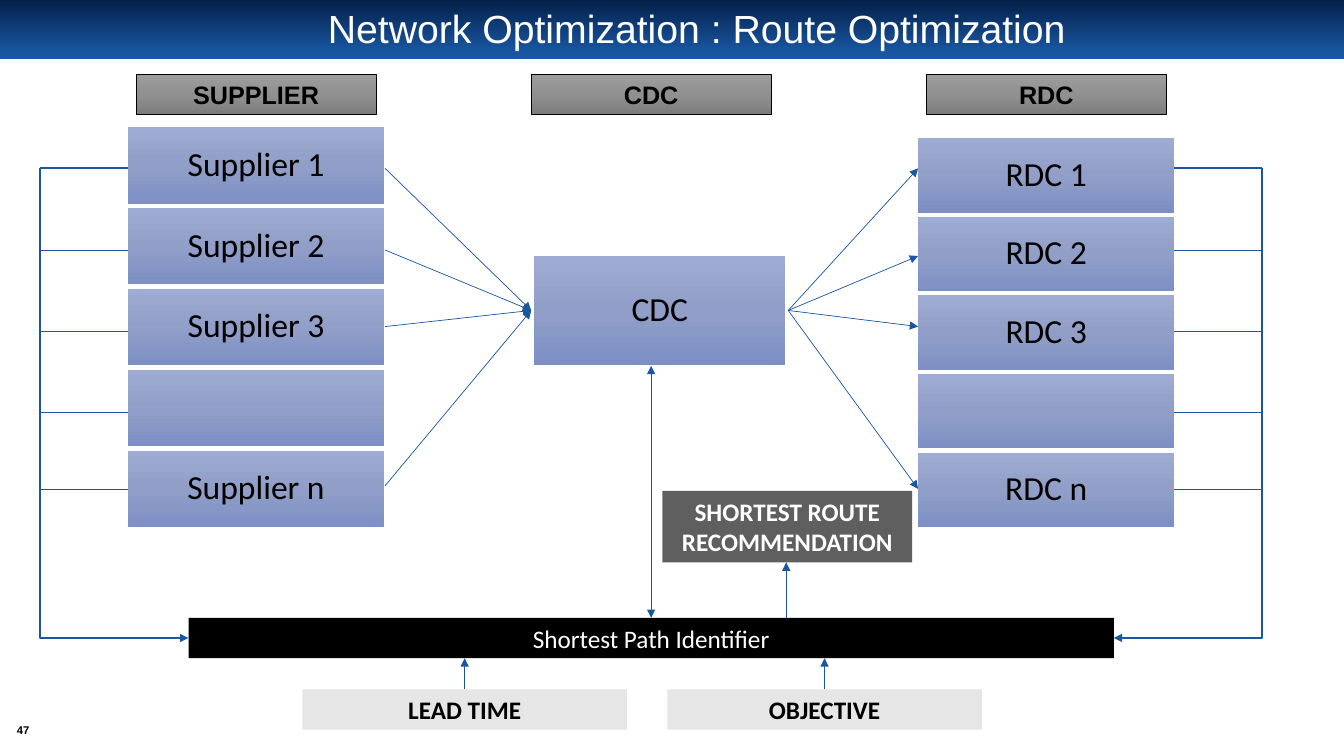
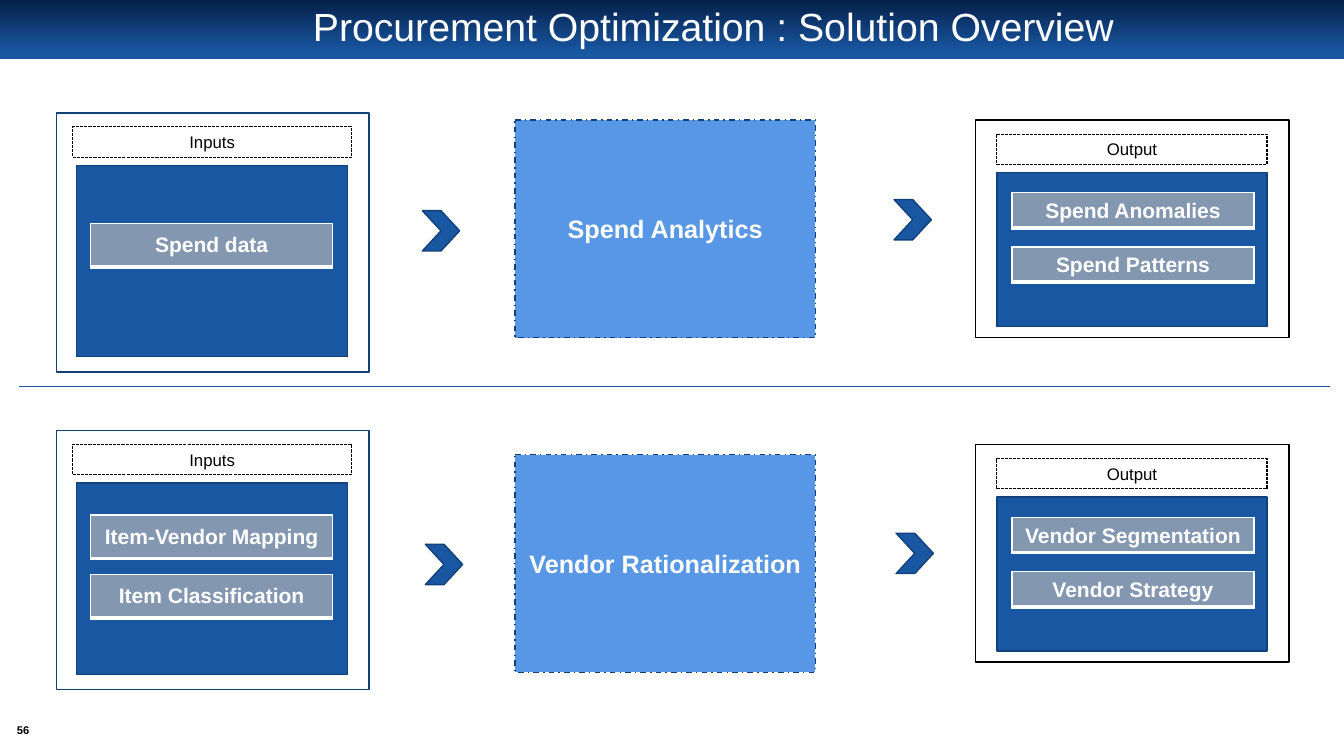
from copy import deepcopy

from pptx import Presentation
from pptx.dml.color import RGBColor
from pptx.enum.dml import MSO_LINE
from pptx.enum.shapes import MSO_CONNECTOR, MSO_SHAPE
from pptx.enum.text import MSO_ANCHOR, PP_ALIGN
from pptx.oxml.ns import qn
from pptx.oxml.xmlchemy import OxmlElement
from pptx.util import Emu, Pt

RECT, PROCESS, CHEVRON = MSO_SHAPE.RECTANGLE, MSO_SHAPE.FLOWCHART_PROCESS, MSO_SHAPE.CHEVRON
STRAIGHT, ELBOW = MSO_CONNECTOR.STRAIGHT, MSO_CONNECTOR.ELBOW
SYS_DASH, DASH_DOT = MSO_LINE.SQUARE_DOT, MSO_LINE.DASH_DOT
MIDDLE, BOTTOM, CENTER = MSO_ANCHOR.MIDDLE, MSO_ANCHOR.BOTTOM, PP_ALIGN.CENTER

COLORS = {
    "white": "FFFFFF", "black": "000000", "navy": "052049", "blue": "1957A3",
    "outline": "124079", "sky": "5797E5", "slate": "8497B0", "charcoal": "5F5F5F",
    "light": "E7E6E6",
}
RGB = {name: RGBColor.from_string(code) for name, code in COLORS.items()}
# Gradients run from top to bottom as (position, hex colour)
BAND = ((0, COLORS["navy"]), (0.9, COLORS["blue"]))
NODE = ((0, "9EABD2"), (0.5, "919FC8"), (1, "7D8FC4"))
HEADER = ((0, "9D9D9D"), (0.5, "909090"), (1, "7C7C7C"))

# Text styles: font, size, bold, colour, line spacing
TITLE = ("Arial", 28, False, "white", 0.9)
NUMBER = ("Arial", 8, True, "black", 1)
HEADER_TEXT = ("Arial", 18, True, "black", 1)
NODE_TEXT = ("Calibri", 24, False, "black", 0.9)
BAR_TEXT = ("Calibri", 18, False, "white", 1)
RESULT_TEXT = ("Calibri", 18, True, "white", 1)
FACTOR_TEXT = ("Calibri", 18, True, "black", 1)
ENGINE_TEXT = ("Arial", 18, True, "white", 1)
CAPTION_TEXT = ("Arial", 12, False, "black", 1)
ITEM_TEXT = ("Arial", 15, True, "white", 1)

prs = Presentation()
prs.slide_width, prs.slide_height = Emu(12192000), Emu(6858000)
UNIT = prs.slide_width / 160  # grid of 160 columns by 90 rows


def box(slide, preset, cell, fill=None, line=None, text="", style=None):
    """Place a shape (a text box if preset is None) on the grid.

    cell is column, row, columns, rows; line is colour, points, dash.
    """
    place = [round(n * UNIT) for n in cell]
    if preset is None:
        shape = slide.shapes.add_textbox(*place)
    else:
        shape = slide.shapes.add_shape(preset, *place)
        shape.shadow.inherit = False
        if fill is None:
            shape.fill.background()
        elif isinstance(fill, str):
            shape.fill.solid()
            shape.fill.fore_color.rgb = RGB[fill]
        else:
            shape.fill.gradient()
            shape.fill.gradient_angle = 270
            stop_list = shape._element.spPr.find(".//" + qn("a:gsLst"))
            for _ in fill[2:]:
                stop_list.append(deepcopy(stop_list[0]))
            for stop, (position, code) in zip(shape.fill.gradient_stops, fill):
                stop.position = position
                stop.color.rgb = RGBColor.from_string(code)
        if line is None:
            shape.line.fill.background()
        else:
            color, points, dash = line
            shape.line.color.rgb = RGB[color]
            shape.line.width = Pt(points)
            if dash is not None:
                shape.line.dash_style = dash
    if text:
        name, size, bold, color, spacing = style
        shape.text_frame.word_wrap = True
        shape.text_frame.vertical_anchor = MIDDLE
        paragraph = shape.text_frame.paragraphs[0]
        paragraph.text = text
        paragraph.alignment = CENTER
        paragraph.line_spacing = spacing
        font = paragraph.font
        font.name, font.size, font.bold, font.color.rgb = name, Pt(size), bold, RGB[color]


def link(slide, start, end, points=0.5, arrows=(), kind=STRAIGHT):
    """Draw a connector; arrows may hold headEnd (at start) and tailEnd (at end)."""
    ends = [round(n * UNIT) for n in (*start, *end)]
    connector = slide.shapes.add_connector(kind, *ends)
    connector.line.color.rgb = RGB["blue"]
    connector.line.width = Pt(points)
    properties = connector._element.spPr
    if kind == ELBOW:
        properties.find(qn("a:prstGeom")).set("prst", "bentConnector2")
    for arrow in arrows:
        tip = OxmlElement("a:" + arrow)
        tip.set("type", "triangle")
        properties.find(qn("a:ln")).append(tip)
    properties.append(OxmlElement("a:effectLst"))


# Band, title and page number of every slide
slides = []
for title, title_cell, number in (
    ("Network Optimization : Route Optimization", (13.44, 1.08, 139, 5.16), "47"),
    ("Procurement Optimization : Solution Overview", (22.56, 1.08, 124.7, 4.68), "56"),
):
    slide = prs.slides.add_slide(prs.slide_layouts[6])
    box(slide, RECT, (0, 0, 160, 7), BAND)
    box(slide, None, (0, 85.7, 5.5, 2.3), text=number, style=NUMBER)
    box(slide, None, title_cell, text=title, style=TITLE)
    slides.append(slide)
network, procurement = slides

# Network: headers and nodes
for i, header in enumerate(("SUPPLIER", "CDC", "RDC")):
    box(network, RECT, (16.2 + 47.04 * i, 8.88, 28.56, 4.8), HEADER,
        ("black", 0.5, None), header, HEADER_TEXT)

for prefix, left, top, pitch, height in (
    ("Supplier", 15.24, 15.12, 9.63, 9.12),
    ("RDC", 109.32, 16.44, 9.36, 8.88),
):
    for row, suffix in enumerate(("1", "2", "3", "", "n")):
        label = f"{prefix} {suffix}" if suffix else ""
        box(network, RECT, (left, top + pitch * row, 30.48, height), NODE,
            text=label, style=NODE_TEXT)

box(network, RECT, (63.6, 30.48, 29.88, 13), NODE, text="CDC", style=NODE_TEXT)

# Network: path identifier with its factors and result
BAR_LEFT, BAR_TOP, BAR_WIDTH, BAR_HEIGHT = 22.44, 73.56, 110.16, 4.8
BAR_BOTTOM = BAR_TOP + BAR_HEIGHT
box(network, RECT, (BAR_LEFT, BAR_TOP, BAR_WIDTH, BAR_HEIGHT), "black",
    text="Shortest Path Identifier", style=BAR_TEXT)
for factor, left, width in (("LEAD TIME", 36, 38.64), ("OBJECTIVE", 79.44, 37.44)):
    box(network, RECT, (left, 82.08, width, 4.8), "light", text=factor, style=FACTOR_TEXT)
    middle = left + width / 2
    link(network, (middle, 82.08), (middle, BAR_BOTTOM), arrows=["tailEnd"])
box(network, RECT, (78.84, 58.44, 29.76, 8.52), "charcoal",
    text="SHORTEST ROUTE RECOMMENDATION", style=RESULT_TEXT)
link(network, (93.6, BAR_TOP), (93.6, 66.96), arrows=["tailEnd"])
link(network, (77.52, 43.56), (77.52, BAR_TOP), arrows=["headEnd", "tailEnd"])

# Network: rails from the outer nodes down to the path identifier
STUB_ROWS = (20.04, 29.76, 39.48, 49.08, 58.2)
for rail, node_edge, bar_edge in (
    (4.8, 15.24, BAR_LEFT), (150.24, 139.8, BAR_LEFT + BAR_WIDTH),
):
    link(network, (bar_edge, BAR_TOP + BAR_HEIGHT / 2), (rail, STUB_ROWS[0]),
         1.5, ["headEnd"], ELBOW)
    for row in STUB_ROWS:
        link(network, (rail, row), (node_edge, row), 1.5 if row == STUB_ROWS[0] else 0.5)

# Network: routes into and out of the CDC
for row in (20.04, 29.76, 38.88, 57.84):
    link(network, (45.84, row), (63.24, 36.96), arrows=["tailEnd"])
for row in (20.04, 30.48, 38.88, 58.2):
    link(network, (93.84, 36.96), (109.3, row), arrows=["tailEnd"])

# Procurement: inputs, engine and output on two tiers
link(procurement, (2.28, 45.96), (158.28, 45.96))
item_cells = []  # text, cell, anchor
for engine, engine_top, input_top, output_top, chevrons, inputs, first_input, outputs in (
    ("Spend Analytics", 14.28, 13.44, 14.28, ((50.28, 25.08), (106.44, 23.76)),
     ("Spend data",), 13.2, ("Spend Anomalies", "Spend Patterns")),
    ("Vendor Rationalization", 54.12, 51.24, 52.92, ((50.64, 64.8), (106.68, 63.48)),
     ("Item-Vendor Mapping", "Item Classification"), 10.08,
     ("Vendor Segmentation", "Vendor Strategy")),
):
    box(procurement, PROCESS, (61.32, engine_top, 35.76, 25.92), "sky",
        ("outline", 1, DASH_DOT), engine, ENGINE_TEXT)
    for column, row in chevrons:
        box(procurement, CHEVRON, (column, row, 4.44, 4.8), "blue", ("outline", 1, None))
    # Frame, caption and body each as left, width; then frame and body heights
    for caption, top, edge, frame, heading, body, frame_height, body_height in (
        ("Inputs", input_top, "outline", (6.72, 37.2), (8.64, 33.24), (9.12, 32.28), 30.84, 22.8),
        ("Output", output_top, "black", (116.16, 37.32), (118.68, 32.16), (118.68, 32.16),
         25.92, 18.36),
    ):
        box(procurement, RECT, (frame[0], top, frame[1], frame_height), "white",
            (edge, 1, None))
        box(procurement, RECT, (body[0], top + 6.24, body[1], body_height), "blue",
            ("outline", 1, None))
        box(procurement, RECT, (heading[0], top + 1.68, heading[1], 3.6), None,
            ("black", 0.75, SYS_DASH), caption, CAPTION_TEXT)
    for i, item in enumerate(inputs):
        item_cells.append((item, (10.8, input_top + first_input + 7.08 * i, 28.8, 5.16), MIDDLE))
    for i, item in enumerate(outputs):
        item_cells.append((item, (120.48, output_top + 8.64 + 6.48 * i, 28.8, 4.2), BOTTOM))

# Procurement: each item is a one-cell table with a heavy bottom border
for item, place, anchor in item_cells:
    table = procurement.shapes.add_table(1, 1, *[round(n * UNIT) for n in place]).table
    cell = table.cell(0, 0)
    for side, points in (("L", 1), ("R", 1), ("T", 1), ("B", 3)):
        border = OxmlElement("a:ln" + side)
        border.set("w", str(Pt(points)))
        solid, color = OxmlElement("a:solidFill"), OxmlElement("a:srgbClr")
        color.set("val", COLORS["white"])
        solid.append(color)
        border.append(solid)
        cell._tc.get_or_add_tcPr().append(border)
    cell.fill.solid()
    cell.fill.fore_color.rgb = RGB["slate"]
    cell.vertical_anchor = anchor
    cell.text = item
    paragraph = cell.text_frame.paragraphs[0]
    paragraph.alignment = CENTER
    name, size, bold, text_color, _ = ITEM_TEXT
    font = paragraph.font
    font.name, font.size, font.bold, font.color.rgb = name, Pt(size), bold, RGB[text_color]

prs.save("out.pptx")
